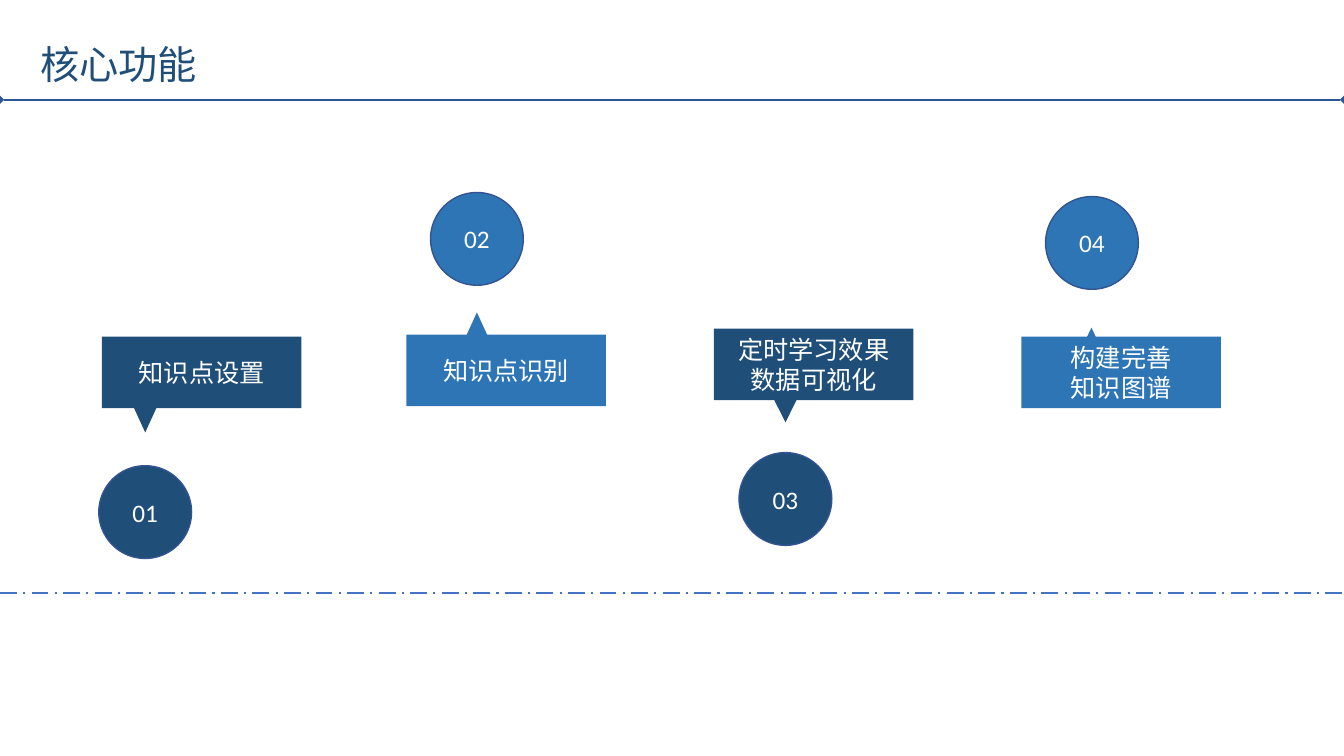
from dataclasses import dataclass

from lxml import etree
from pptx import Presentation
from pptx.dml.color import RGBColor
from pptx.enum.dml import MSO_LINE_DASH_STYLE as Dash
from pptx.enum.shapes import MSO_CONNECTOR as Connector, MSO_SHAPE as Shape
from pptx.enum.text import MSO_ANCHOR as Anchor, MSO_AUTO_SIZE as AutoSize, PP_ALIGN as Align
from pptx.oxml.ns import qn
from pptx.util import Emu, Pt

PX = 9144  # 100 px to the inch
PAGE_W, PAGE_H = 1333, 750
LABEL_W, LABEL_H, CIRCLE = 198, 71, 92

NAVY = RGBColor(0x1F, 0x4E, 0x79)
BLUE = RGBColor(0x2E, 0x75, 0xB6)
RULE_BLUE = RGBColor(0x2F, 0x55, 0x97)
DASH_BLUE = RGBColor(0x44, 0x72, 0xC4)
RIM_BLUE = RGBColor(0x32, 0x54, 0x91)
WHITE = RGBColor(0xFF, 0xFF, 0xFF)

CJK, LATIN = "Noto Sans CJK SC", "Calibri"


@dataclass
class Step:
    number: str
    lines: list
    left: int
    top: int
    circle_dx: int  # circle offset from the label's corner
    circle_dy: int
    pointer_w: int
    pointer_h: int
    pointer_dy: int

    @property
    def points_down(self):
        return self.circle_dy > 0


STEPS = [
    Step("01", ["知识点设置"], 101, 334, -3, 128, 22, 24, 71),
    Step("02", ["知识点识别"], 403, 332, 24, -141, 22, 24, -22),
    Step("03", ["定时学习效果", "数据可视化"], 708, 326, 25, 123, 22, 22, 71),
    Step("04", ["构建完善", "知识图谱"], 1013, 334, 24, -139, 17, 18, -9),
]


def px(*lengths):
    return [Emu(length * PX) for length in lengths]


def write(frame, lines, size, font, color, align, anchor):
    frame.word_wrap = True
    frame.vertical_anchor = anchor
    frame.text = "\n".join(lines)
    for para in frame.paragraphs:
        para.alignment = align
        para.font.size = Pt(size)
        para.font.name = font
        para.font.color.rgb = color
        # East Asian typeface
        props = para._p.pPr.find(qn("a:defRPr"))
        etree.SubElement(props, qn("a:ea"), typeface=font)


def add_solid(shapes, kind, box, fill, rim=None):
    shape = shapes.add_shape(kind, *px(*box))
    shape.shadow.inherit = False
    shape.fill.solid()
    shape.fill.fore_color.rgb = fill
    if rim is None:
        shape.line.fill.background()
    else:
        shape.line.color.rgb = rim
        shape.line.width = Pt(1)
    return shape


def add_rule(page, y, color):
    rule = page.shapes.add_connector(Connector.STRAIGHT, *px(0, y, PAGE_W, y))
    rule.line.color.rgb = color
    rule.line.width = Pt(1.5)
    etree.SubElement(rule._element.spPr, qn("a:effectLst"))
    return rule


def add_header(page, left, top, width, height):
    # Rule with a diamond at each end
    rule = add_rule(page, 99, RULE_BLUE)
    for end in ("a:headEnd", "a:tailEnd"):
        etree.SubElement(rule.line._get_or_add_ln(), qn(end), type="diamond")
    # Title
    title = page.shapes.title
    title.left, title.top, title.width, title.height = px(left, top, width, height)
    write(title.text_frame, ["核心功能"], 28, CJK, NAVY, Align.LEFT, Anchor.TOP)
    title.text_frame.paragraphs[0].line_spacing = 1.0
    title.text_frame.auto_size = AutoSize.NONE


def add_step(page, step):
    color = NAVY if step.points_down else BLUE
    circle_left = step.left + step.circle_dx
    # Pointer, centred on the circle
    pointer_left = circle_left + (CIRCLE - step.pointer_w) // 2
    pointer = add_solid(page.shapes, Shape.ISOSCELES_TRIANGLE,
                        (pointer_left, step.top + step.pointer_dy,
                         step.pointer_w, step.pointer_h), color)
    pointer.rotation = 180 if step.points_down else 0
    # Label and numbered circle
    group = page.shapes.add_group_shape()
    label = add_solid(group.shapes, Shape.RECTANGLE,
                      (step.left, step.top, LABEL_W, LABEL_H), color)
    write(label.text_frame, step.lines, 18, CJK, WHITE, Align.CENTER, Anchor.MIDDLE)
    circle = add_solid(group.shapes, Shape.OVAL,
                       (circle_left, step.top + step.circle_dy, CIRCLE, CIRCLE),
                       color, RIM_BLUE)
    write(circle.text_frame, [step.number], 18, LATIN, WHITE, Align.CENTER, Anchor.MIDDLE)


def main():
    deck = Presentation()
    deck.slide_width, deck.slide_height = px(PAGE_W, PAGE_H)
    page = deck.slides.add_slide(deck.slide_layouts.get_by_name("Title Only"))
    add_header(page, 30, 35, 319, 57)
    for step in STEPS:
        add_step(page, step)
    # Dashed baseline
    add_rule(page, 588, DASH_BLUE).line.dash_style = Dash.LONG_DASH_DOT
    deck.save("out.pptx")


if __name__ == "__main__":
    main()
